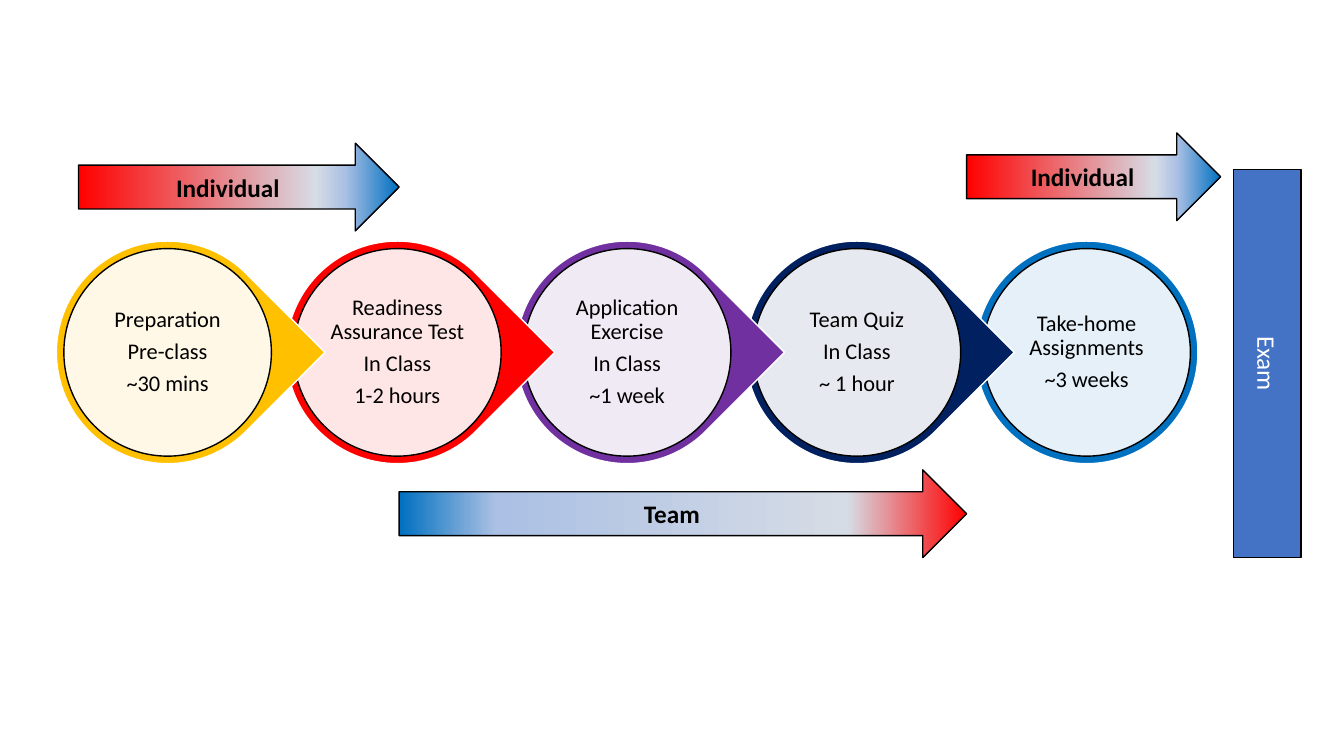
from lxml.etree import SubElement
from pptx import Presentation
from pptx.dml.color import RGBColor as Rgb
from pptx.enum.shapes import MSO_SHAPE as Preset
from pptx.enum.text import MSO_ANCHOR as Anchor, PP_ALIGN as Align
from pptx.oxml.ns import qn
from pptx.util import Cm, Pt

COLORS = {
    "black": "000000", "white": "FFFFFF", "exam": "4472C4",
    "gold": "FFC000", "red": "FF0000", "purple": "7030A0",
    "navy": "002060", "blue": "0070C0", "grey": "D6DCE5", "pale": "ABC0E4",
}
STAGES = [
    ("gold", ["Preparation", "Pre-class", "~30 mins"]),
    ("red", ["Readiness Assurance Test", "In Class", "1-2 hours"]),
    ("purple", ["Application Exercise", "In Class", "~1 week"]),
    ("navy", ["Team Quiz", "In Class", "~ 1 hour"]),
    ("blue", ["Take-home Assignments", "~3 weeks"]),
]
PHASES = [
    ("Individual", 1.98, 3.61, 8.08, 74, 0),
    ("Team", 10.06, 11.84, 14.3, 21, 180),
    ("Individual", 24.36, 3.35, 6.4, 74, 0),
]
STAGE_LEFT, STAGE_PITCH, STAGE_CENTER_Y = 1.42, 5.79, 8.88
DROP_SIZE, DISC_SIZE, LABEL_SIZE = 5.61, 5.23, 3.73
LABEL_FRAME = dict.fromkeys(
    ("margin_left", "margin_top", "margin_right", "margin_bottom"), Cm(0.05))
LABEL_SPACING = {"line_spacing": 0.9, "space_after": Pt(5.6)}


def rgb(name):
    """Return the named colour."""
    return Rgb.from_string(COLORS[name])


def set_all(target, values):
    """Set each named attribute of the target."""
    for name, value in values.items():
        setattr(target, name, value)


def centered(center_x, size):
    """Return the box of a square centred on the row of stages."""
    return [Cm(v) for v in (center_x - size / 2, STAGE_CENTER_Y - size / 2, size, size)]


def add_outlined(slide, preset, box, fill, line="black"):
    """Add a preset shape with a solid fill and a thin outline."""
    shape = slide.shapes.add_shape(preset, *box)
    shape.shadow.inherit = False
    shape.fill.solid()
    shape.fill.fore_color.rgb = rgb(fill)
    shape.line.color.rgb = rgb(line)
    shape.line.width = Pt(1)
    return shape


def write(shape, lines, font, color="black", spacing=None, frame=None):
    """Write centred paragraphs into a shape."""
    text = shape.text_frame
    set_all(text, {"word_wrap": True, "vertical_anchor": Anchor.MIDDLE, **(frame or {})})
    text.text = "\n".join(lines)
    for paragraph in text.paragraphs:
        set_all(paragraph, {"alignment": Align.CENTER, **(spacing or {})})
        set_all(paragraph.font, {"name": "Calibri", **font})
        paragraph.font.color.rgb = rgb(color)


def set_gradient(shape, stops, angle):
    """Fill a shape with a linear gradient of (percent, colour) stops."""
    shape.fill.gradient()
    shape.fill.gradient_angle = angle
    stop_list = shape._element.spPr.find(".//" + qn("a:gsLst"))
    for old in list(stop_list):
        stop_list.remove(old)
    for percent, color in stops:
        stop = SubElement(stop_list, qn("a:gs"), pos=str(percent * 1000))
        SubElement(stop, qn("a:srgbClr"), val=COLORS[color])


def add_stage(slide, index, color, lines):
    """Add one stage: a pointed ring, a translucent disc and its label."""
    center_x = STAGE_LEFT + index * STAGE_PITCH + DROP_SIZE / 2
    is_last = index == len(STAGES) - 1
    ring = add_outlined(slide, Preset.OVAL if is_last else Preset.TEAR,
                        centered(center_x, DROP_SIZE), color, "white")
    if not is_last:
        ring.adjustments[0] = 1
        ring.rotation = 45
    disc = add_outlined(slide, Preset.OVAL, centered(center_x, DISC_SIZE), "white")
    tint = disc._element.spPr.find(qn("a:solidFill"))[0]
    SubElement(tint, qn("a:alpha"), val="90000")
    label = slide.shapes.add_textbox(*centered(center_x, LABEL_SIZE))
    write(label, lines, {"size": Pt(16)}, spacing=LABEL_SPACING, frame=LABEL_FRAME)


def add_phase(slide, name, left, top, width, grey_at, angle):
    """Add a gradient arrow that names who works during the stages."""
    box = [Cm(v) for v in (left, top, width, 2.21)]
    arrow = add_outlined(slide, Preset.RIGHT_ARROW, box, "white")
    set_gradient(arrow, [(0, "red"), (grey_at, "grey"), (83, "pale"), (100, "blue")], angle)
    write(arrow, [name], {"size": Pt(18), "bold": True})


def add_exam(slide):
    """Add the closing exam bar with its vertical label."""
    box = [Cm(v) for v in (31.09, 4.27, 1.7, 9.78)]
    exam = add_outlined(slide, Preset.RECTANGLE, box, "exam")
    write(exam, ["Exam"], {"size": Pt(18)}, "white")
    exam._element.txBody.find(qn("a:bodyPr")).set("vert", "vert")


def main():
    """Build the course cycle slide."""
    deck = Presentation()
    set_all(deck, {"slide_width": Cm(33.87), "slide_height": Cm(19.05)})
    slide = deck.slides.add_slide(deck.slide_layouts[6])
    for index, (color, lines) in reversed(list(enumerate(STAGES))):
        add_stage(slide, index, color, lines)
    for phase in PHASES:
        add_phase(slide, *phase)
    add_exam(slide)
    deck.save("out.pptx")


main()
